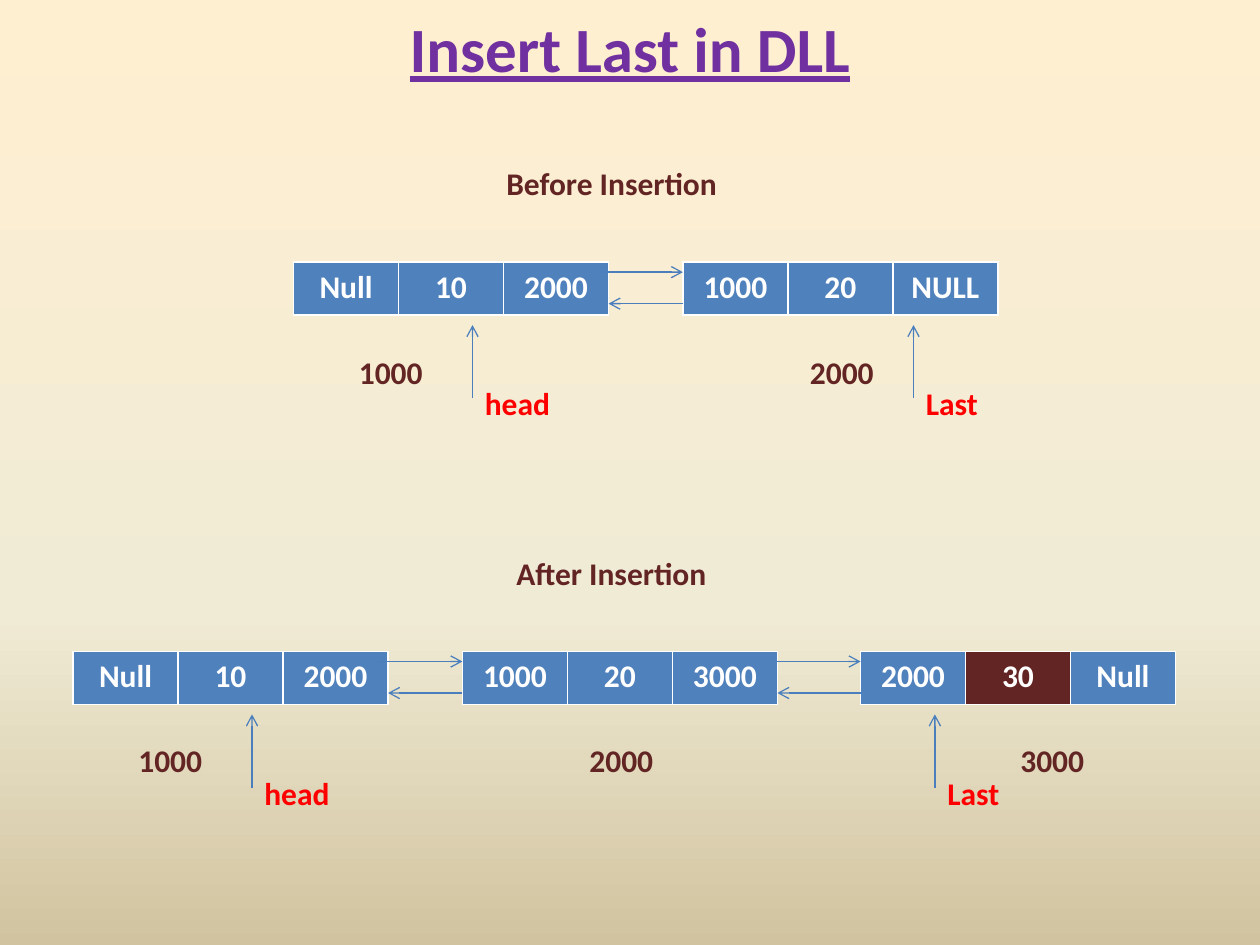
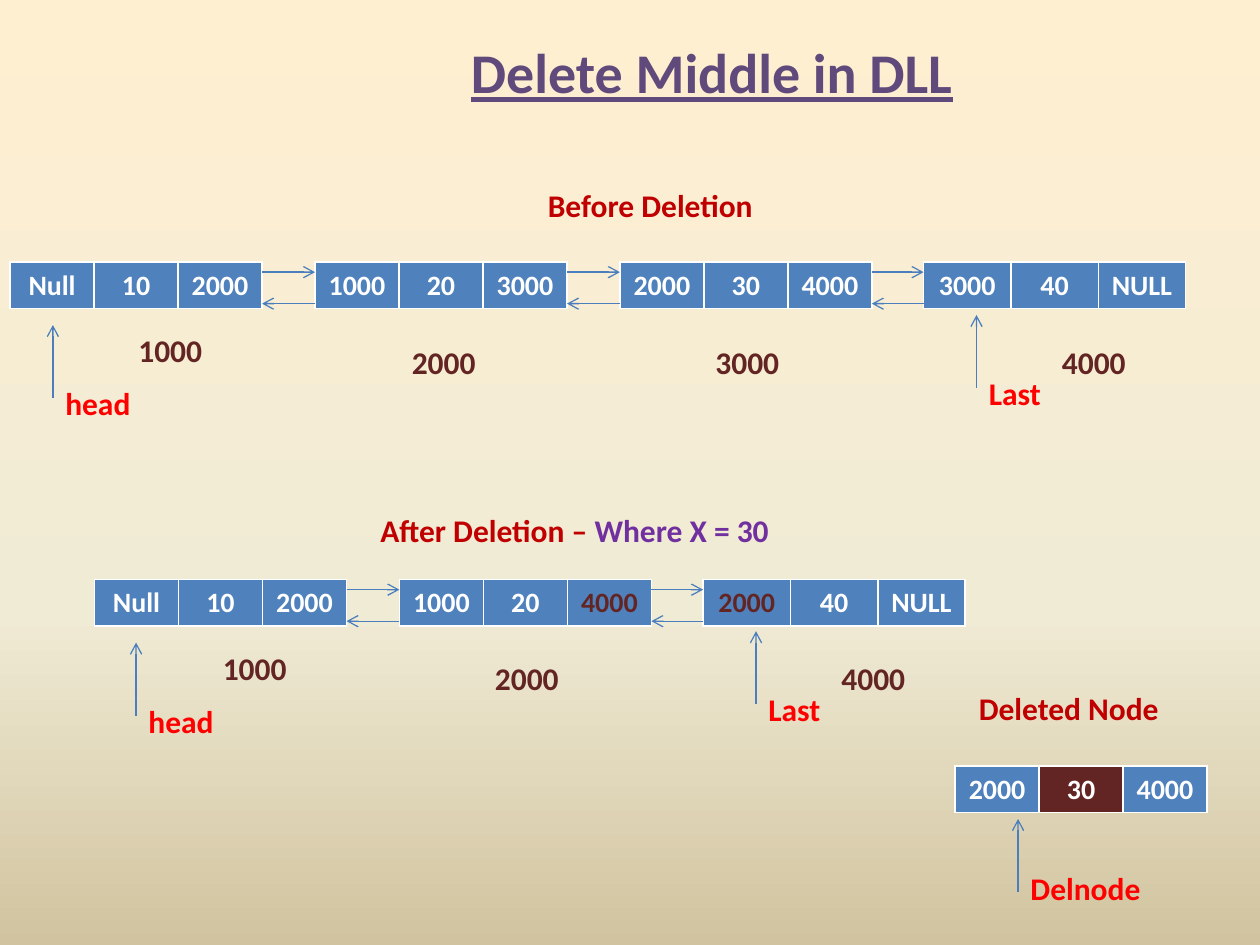
"""Builds two slides on inserting into and deleting from a doubly linked list."""
from copy import deepcopy
from dataclasses import dataclass

from lxml.etree import SubElement
from pptx import Presentation
from pptx.dml.color import RGBColor
from pptx.enum.shapes import MSO_CONNECTOR
from pptx.enum.text import MSO_ANCHOR, MSO_AUTO_SIZE, PP_ALIGN
from pptx.oxml.ns import qn
from pptx.util import Inches, Pt


@dataclass(frozen=True)
class Theme:
    font: str = "Calibri"
    node: str = "4F81BD"
    line: str = "4B7EBC"
    dark: str = "632523"
    white: str = "FFFFFF"
    red: str = "FF0000"
    crimson: str = "C00000"
    purple: str = "7030A0"
    violet: str = "604A7B"
    back: tuple = ((0, "FFEFD1"), (0.65, "F0EBD5"), (1, "D1C39F"))
    large: int = 36
    title: int = 32
    body: int = 18
    small: int = 16


@dataclass
class Node:
    left: float
    cells: str
    width: float = 2
    fill: int = -1
    ink: int = -1


class Deck:
    def __init__(self, theme):
        self.theme = theme
        self.prs = Presentation()
        self.prs.slide_width, self.prs.slide_height = Inches(10), Inches(7.5)

    def page(self):
        self.slide = self.prs.slides.add_slide(self.prs.slide_layouts[6])
        fill = self.slide.background.fill
        fill.gradient()
        fill.gradient_angle = 270
        first = next(self.slide.element.iter(qn("a:gs")))
        first.addnext(deepcopy(first))
        for stop, (place, color) in zip(fill.gradient_stops, self.theme.back):
            stop.position = place
            stop.color.rgb = RGBColor.from_string(color)

    def style(self, font, size, color):
        font.name, font.size, font.bold = self.theme.font, Pt(size), True
        font.color.rgb = RGBColor.from_string(color)

    def box(self, left, top, width, height):
        frame = self.slide.shapes.add_textbox(*map(Inches, (left, top, width, height))).text_frame
        frame.word_wrap = True
        return frame

    def title(self, text, left, top, width, height, size, color):
        frame = self.box(left, top, width, height)
        frame.vertical_anchor = MSO_ANCHOR.MIDDLE
        para = frame.paragraphs[0]
        para.text, para.alignment = text, PP_ALIGN.CENTER
        self.style(para.font, size, color)
        para.font.underline = True

    def label(self, text, left, top, color, width=0.83):
        frame = self.box(left, top, width, 0.4)
        frame.auto_size = MSO_AUTO_SIZE.SHAPE_TO_FIT_TEXT
        para = frame.paragraphs[0]
        para.text = text
        self.style(para.font, self.theme.body, color)
        return para

    def labels(self, *spots):
        for text, left, top in spots:
            self.label(text, left, top, self.theme.dark)

    def arrow(self, *ends):
        line = self.slide.shapes.add_connector(MSO_CONNECTOR.STRAIGHT, *map(Inches, ends))
        line.line.color.rgb = RGBColor.from_string(self.theme.line)
        line.line.width = Pt(0.75)
        SubElement(line.line._get_or_add_ln(), qn("a:tailEnd"), type="arrow")
        SubElement(line._element.spPr, qn("a:effectLst"))

    def pointer(self, text, left, top, width=0.83, drop=0.42):
        self.arrow(left, top + 0.58, left, top)
        self.label(text, left, top + drop, self.theme.red, width)

    def node(self, node, top, height, size):
        theme, words = self.theme, node.cells.split()
        spot = map(Inches, (node.left, top, node.width, height))
        table = self.slide.shapes.add_table(1, len(words), *spot).table
        table.horz_banding = False
        for i, word in enumerate(words):
            table.columns[i].width = Inches(node.width / len(words))
            cell = table.cell(0, i)
            cell.fill.solid()
            cell.fill.fore_color.rgb = RGBColor.from_string(
                theme.dark if i == node.fill else theme.node)
            para = cell.text_frame.paragraphs[0]
            para.text, para.alignment = word, PP_ALIGN.CENTER
            self.style(para.font, size, theme.dark if i == node.ink else theme.white)

    def chain(self, top, nodes, height, size, insets=(0, 0, 0)):
        for node in nodes:
            self.node(node, top, height, size)
        for one, two, inset in zip(nodes, nodes[1:], insets):
            edge = one.left + one.width
            self.arrow(edge - inset, top + 0.08, two.left, top + 0.08)
            self.arrow(two.left, top + 0.33, edge, top + 0.33)


def insert(deck):
    theme = deck.theme
    form = {"height": 0.42, "size": theme.body, "insets": (0.08, 0)}
    deck.page()
    deck.title("Insert Last in DLL", 0.5, -0.25, 9, 1.25, theme.large, theme.purple)
    deck.label("Before Insertion", 3.92, 1.25, theme.dark, 2.17)
    deck.chain(2.08, [Node(2.33, "Null 10 2000", 2.5), Node(5.42, "1000 20 NULL", 2.5)], **form)
    deck.labels(("1000", 2.75, 2.75), ("2000", 6.33, 2.75))
    deck.pointer("head", 3.75, 2.58)
    deck.pointer("Last", 7.25, 2.58)

    deck.label("After Insertion", 4, 4.35, theme.dark, 2.17)
    deck.chain(5.17, [Node(0.58, "Null 10 2000", 2.5), Node(3.67, "1000 20 3000", 2.5),
                      Node(6.83, "2000 30 Null", 2.5, fill=1)], **form)
    deck.labels(("1000", 1, 5.83), ("2000", 4.58, 5.83), ("3000", 8, 5.83))
    deck.pointer("head", 2, 5.67)
    deck.pointer("Last", 7.42, 5.67)


def delete(deck):
    theme = deck.theme
    form = {"height": 0.37, "size": theme.small}
    deck.page()
    deck.title("Delete Middle in DLL", 2.9, 0.24, 5.5, 0.65, theme.title, theme.violet)
    deck.label("Before Deletion", 4.25, 1.43, theme.crimson, 2.33)
    deck.chain(2.08, [Node(0.08, "Null 10 2000"), Node(2.5, "1000 20 3000"),
                      Node(4.92, "2000 30 4000"), Node(7.33, "3000 40 NULL", 2.08)], **form)
    deck.labels(("1000", 1, 2.58), ("2000", 3.17, 2.67), ("3000", 5.58, 2.67), ("4000", 8.33, 2.67))
    deck.pointer("head", 0.42, 2.58)
    deck.pointer("Last", 7.75, 2.5)

    para = deck.label("After Deletion – ", 2.92, 4.01, theme.crimson, 3.42)
    run = para.add_run()
    run.text = "Where X = 30"
    run.font.color.rgb = RGBColor.from_string(theme.purple)
    deck.chain(4.6, [Node(0.75, "Null 10 2000"), Node(3.17, "1000 20 4000", ink=2),
                     Node(5.58, "2000 40 NULL", 2.08, ink=0)], **form)
    deck.labels(("1000", 1.67, 5.1), ("2000", 3.83, 5.18), ("4000", 6.58, 5.18))
    deck.pointer("head", 1.08, 5.1)
    deck.pointer("Last", 6, 5.01)

    deck.label("Deleted Node", 7.67, 5.42, theme.crimson, 2.33)
    deck.chain(6.08, [Node(7.58, "2000 30 4000", fill=1)], **form)
    deck.pointer("Delnode", 8.08, 6.5, 1.25, 0.35)


def main():
    deck = Deck(Theme())
    insert(deck)
    delete(deck)
    deck.prs.save("out.pptx")


if __name__ == "__main__":
    main()
